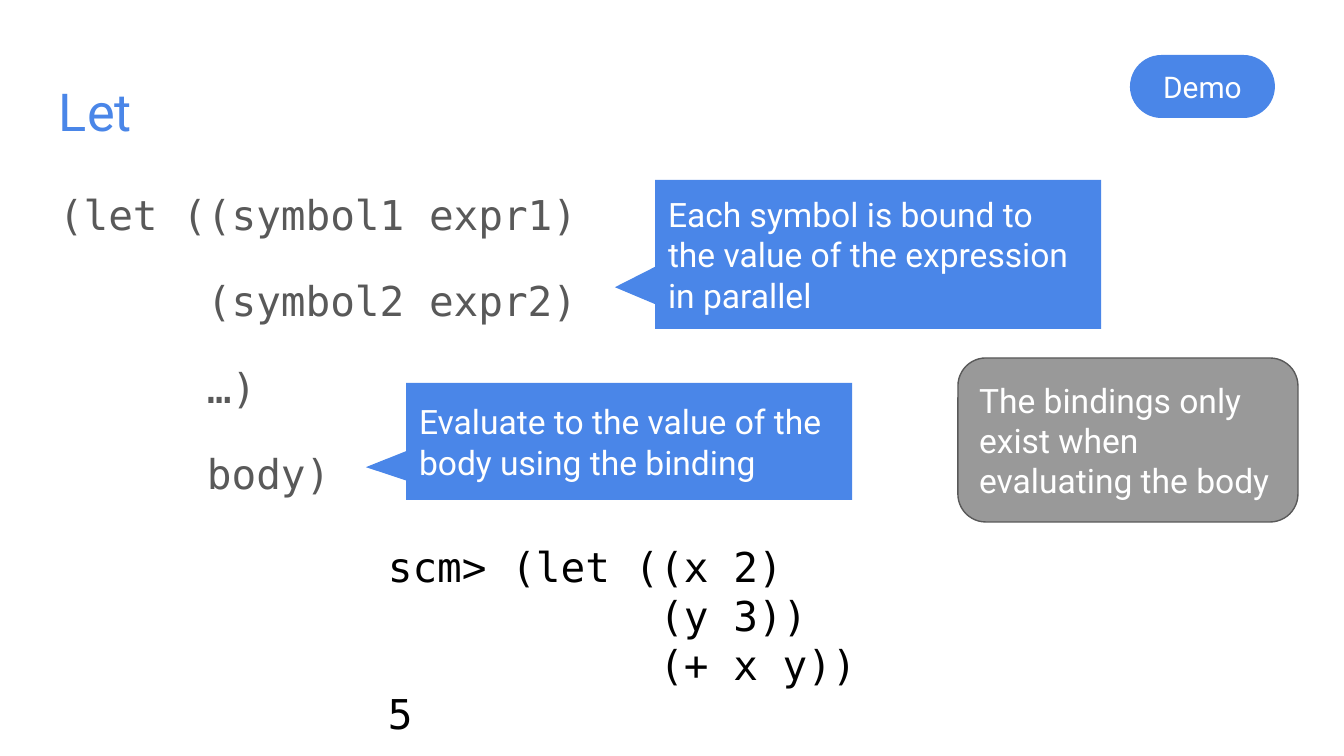
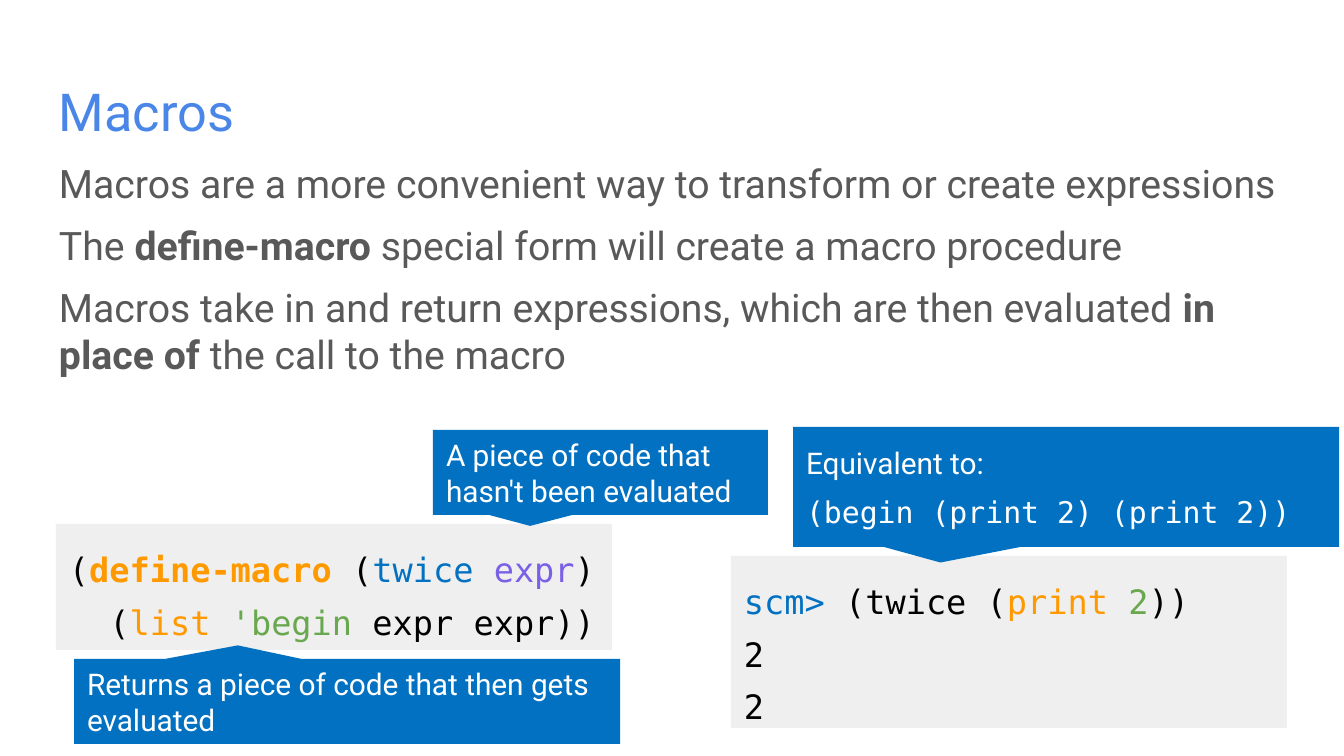
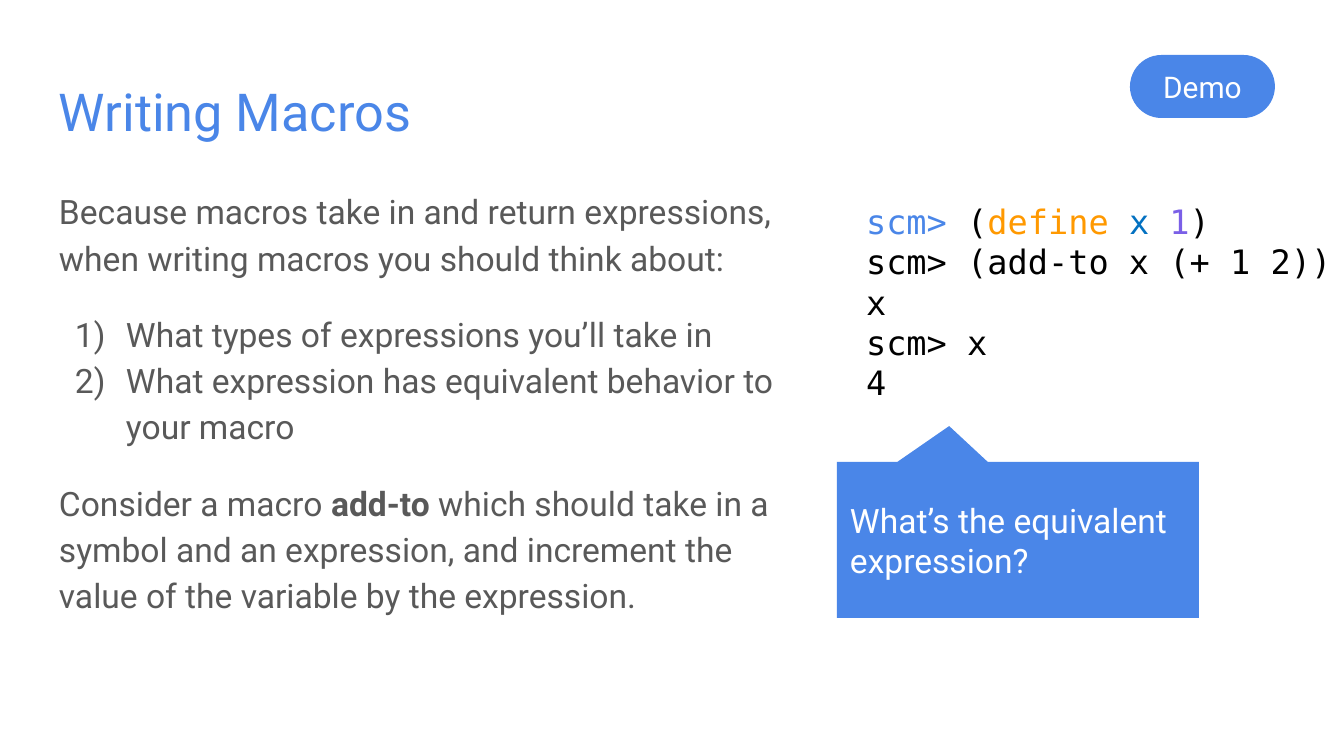
from dataclasses import dataclass

from lxml import etree
from pptx import Presentation
from pptx.dml.color import RGBColor
from pptx.enum.shapes import MSO_SHAPE
from pptx.enum.text import MSO_ANCHOR, MSO_AUTO_SIZE, PP_ALIGN
from pptx.oxml.ns import qn
from pptx.util import Pt

TOP, MIDDLE = MSO_ANCHOR.TOP, MSO_ANCHOR.MIDDLE
LEFT, CENTER = PP_ALIGN.LEFT, PP_ALIGN.CENTER
NO_AUTOFIT = MSO_AUTO_SIZE.NONE
RECTANGLE = MSO_SHAPE.RECTANGLE
ROUNDED = MSO_SHAPE.ROUNDED_RECTANGLE
CALLOUT = MSO_SHAPE.ROUNDED_RECTANGULAR_CALLOUT
TITLE_AND_CONTENT = 1


@dataclass(frozen=True)
class Theme:
    sans: str = "Roboto"
    mono: str = "DejaVu Sans Mono"
    accent: str = "4A86E8"
    deep: str = "0371C1"
    orange: str = "FF9900"
    purple: str = "7A5FE7"
    green: str = "6AA84F"
    body: str = "595959"
    panel: str = "EFEFEF"
    note: str = "999999"
    black: str = "000000"
    white: str = "FFFFFF"
    title_size: int = 28
    code_big: int = 22
    body_size: int = 21
    text_size: int = 18
    small_size: int = 16


THEME = Theme()
EMU_PER_PX = 914400 / 134.4
SLIDE_SIZE = (1344, 756)
INSET = 13
TITLE_BOX = (46, 66, 1253, 85)

# Run styles: what differs from the block's own font
STYLES = {
    "bold": {"bold": True},
    "mono": {"font": THEME.mono},
    "keyword": {"color": THEME.orange, "bold": True},
    "builtin": {"color": THEME.orange},
    "name": {"color": THEME.deep},
    "prompt": {"color": THEME.accent},
    "value": {"color": THEME.purple},
    "literal": {"color": THEME.green},
}

# Text formats shared by the blocks
CODE = {"font": THEME.mono, "color": THEME.black, "size": THEME.text_size}
PANEL_CODE = {**CODE, "spacing": 1.3}
LABEL = {"color": THEME.white, "size": THEME.text_size, "anchor": MIDDLE}
SMALL_LABEL = {**LABEL, "size": THEME.small_size}
PROSE = {"color": THEME.body, "size": THEME.text_size}


def callout(box, pointer, lines, fill=THEME.accent, **text):
    return {"shape": CALLOUT, "box": box, "adjust": (*pointer, 0), "fill": fill,
            "lines": lines, "text": {**LABEL, **text}}


DEMO = {"shape": ROUNDED, "box": (1130, 55, 145, 63), "adjust": (0.5,),
        "fill": THEME.accent, "lines": ["Demo"],
        "text": {**SMALL_LABEL, "align": CENTER}}

# Content: a line is a string or a list of strings and (string, style) pairs
SLIDES = [
    {
        "title": "Let",
        "body": {
            "box": (46, 169, 1253, 192),
            "lines": ["(let ((symbol1 expr1)", "      (symbol2 expr2)",
                      "      …)", "      body)"],
            "text": {**PROSE, "font": THEME.mono, "size": THEME.code_big,
                     "spacing": 1.15, "gap": 16},
        },
        "parts": [
            DEMO,
            {"box": (375, 528, 1211, 218),
             "lines": ["scm> (let ((x 2)", "           (y 3))",
                       "           (+ x y))", "5"],
             "text": {**CODE, "size": THEME.code_big}},
            callout((655, 180, 446, 149), (-0.59, 0.22),
                    ["Each symbol is bound to the value of the expression in parallel"]),
            callout((406, 383, 446, 117), (-0.59, 0.22),
                    ["Evaluate to the value of the body using the binding"]),
            {"shape": ROUNDED, "box": (958, 358, 340, 164), "adjust": (0.17,),
             "fill": THEME.note, "outline": THEME.body,
             "lines": ["The bindings only exist when evaluating the body"],
             "text": LABEL},
        ],
    },
    {
        "title": "Macros",
        "body": {
            "box": (46, 146, 1253, 227),
            "lines": [
                "Macros are a more convenient way to transform or create expressions",
                ["The ", ("define-macro", "bold"),
                 " special form will create a macro procedure"],
                ["Macros take in and return expressions, which are then evaluated ",
                 ("in place of", "bold"), " the call to the macro"],
            ],
            "text": {**PROSE, "size": THEME.body_size, "gap": 8},
        },
        "parts": [
            {"shape": RECTANGLE, "box": (56, 524, 556, 126), "fill": THEME.panel,
             "lines": [
                 ["(", ("define-macro", "keyword"), " (", ("twice ", "name"),
                  ("expr", "value"), ")"],
                 ["  (", ("list ", "builtin"), ("'begin", "literal"), " expr expr))"],
             ],
             "text": PANEL_CODE},
            {"shape": RECTANGLE, "box": (731, 556, 556, 172), "fill": THEME.panel,
             "lines": [
                 [("scm>", "name"), " (twice (", ("print ", "builtin"),
                  ("2", "literal"), "))"],
                 "2", "2",
             ],
             "text": PANEL_CODE},
            callout((793, 427, 546, 120), (-0.23, 0.63),
                    ["Equivalent to:", [("(begin (print 2) (print 2))", "mono")]],
                    THEME.deep, size=THEME.small_size, gap=7),
            callout((74, 659, 546, 85), (-0.2, -0.66),
                    ["Returns a piece of code that then gets evaluated"],
                    THEME.deep, size=THEME.small_size),
            callout((433, 430, 335, 85), (-0.21, 0.63),
                    ["A piece of code that hasn't been evaluated"],
                    THEME.deep, size=THEME.small_size),
        ],
    },
    {
        "title": "Writing Macros",
        "body": {
            "box": (46, 172, 758, 503),
            "lines": [
                "Because macros take in and return expressions, "
                "when writing macros you should think about:",
                "What types of expressions you’ll take in",
                "What expression has equivalent behavior to your macro",
                ["Consider a macro ", ("add-to", "bold"),
                 " which should take in a symbol and an expression, and increment "
                 "the value of the variable by the expression."],
            ],
            "text": {**PROSE, "spacing": 1.15, "gap": 16, "numbered": (1, 2)},
        },
        "parts": [
            {"box": (853, 188, 1192, 156),
             "lines": [
                 [("scm>", "prompt"), " (", ("define ", "builtin"), ("x ", "name"),
                  ("1", "value"), ")"],
                 "scm> (add-to x (+ 1 2))", "x", "scm> x", "4",
             ],
             "text": CODE},
            callout((837, 462, 362, 156), (-0.19, -0.73),
                    ["What’s the equivalent expression?"]),
            DEMO,
        ],
    },
]


def px(length):
    return round(length * EMU_PER_PX)


def rgb(color):
    return RGBColor.from_string(color)


def set_bullet(paragraph, numbered, color):
    """Number the paragraph, or clear the bullet that the layout gives it."""
    properties = paragraph._p.get_or_add_pPr()
    properties.set("marL", str(px(67) if numbered else 0))
    properties.set("indent", str(px(-51) if numbered else 0))
    if numbered:
        bullet_color = etree.SubElement(properties, qn("a:buClr"))
        etree.SubElement(bullet_color, qn("a:srgbClr"), val=color)
        etree.SubElement(properties, qn("a:buFont"), typeface=THEME.sans)
        etree.SubElement(properties, qn("a:buAutoNum"), type="arabicParenR")
    else:
        etree.SubElement(properties, qn("a:buNone"))


def write_text(shape, lines, color, size, font=THEME.sans, spacing=1.0, gap=0,
               align=LEFT, anchor=TOP, numbered=()):
    frame = shape.text_frame
    frame.word_wrap = True
    frame.auto_size = NO_AUTOFIT
    frame.vertical_anchor = anchor
    frame.margin_left = frame.margin_right = px(INSET)
    frame.margin_top = frame.margin_bottom = px(INSET)
    for index, line in enumerate(lines):
        paragraph = frame.add_paragraph() if index else frame.paragraphs[0]
        set_bullet(paragraph, index in numbered, color)
        inside_list = index in numbered and index - 1 in numbered
        paragraph.alignment = align
        paragraph.line_spacing = spacing
        paragraph.space_before = Pt(gap if index and not inside_list else 0)
        paragraph.space_after = Pt(0)
        for piece in [line] if isinstance(line, str) else line:
            words, style_name = (piece, None) if isinstance(piece, str) else piece
            style = STYLES.get(style_name, {})
            run = paragraph.add_run()
            run.text = words
            run.font.name = style.get("font", font)
            run.font.size = Pt(size)
            run.font.bold = style.get("bold", False)
            run.font.color.rgb = rgb(style.get("color", color))


def fill_placeholder(shape, box, lines, text):
    shape.left, shape.top, shape.width, shape.height = map(px, box)
    write_text(shape, lines, **text)


def add_part(slide, part):
    box = map(px, part["box"])
    if "shape" in part:
        shape = slide.shapes.add_shape(part["shape"], *box)
        shape.shadow.inherit = False
        shape.fill.solid()
        shape.fill.fore_color.rgb = rgb(part["fill"])
        if "outline" in part:
            shape.line.color.rgb = rgb(part["outline"])
            shape.line.width = Pt(0.75)
        else:
            shape.line.fill.background()
        for index, value in enumerate(part.get("adjust", ())):
            shape.adjustments[index] = value
    else:
        shape = slide.shapes.add_textbox(*box)
    write_text(shape, part["lines"], **part["text"])


def main():
    presentation = Presentation()
    presentation.slide_width, presentation.slide_height = map(px, SLIDE_SIZE)
    layout = presentation.slide_layouts[TITLE_AND_CONTENT]
    title_text = {"color": THEME.accent, "size": THEME.title_size}
    for content in SLIDES:
        slide = presentation.slides.add_slide(layout)
        fill_placeholder(slide.shapes.title, TITLE_BOX, [content["title"]], title_text)
        fill_placeholder(slide.placeholders[1], **content["body"])
        for part in content["parts"]:
            add_part(slide, part)
    presentation.save("out.pptx")


if __name__ == "__main__":
    main()
